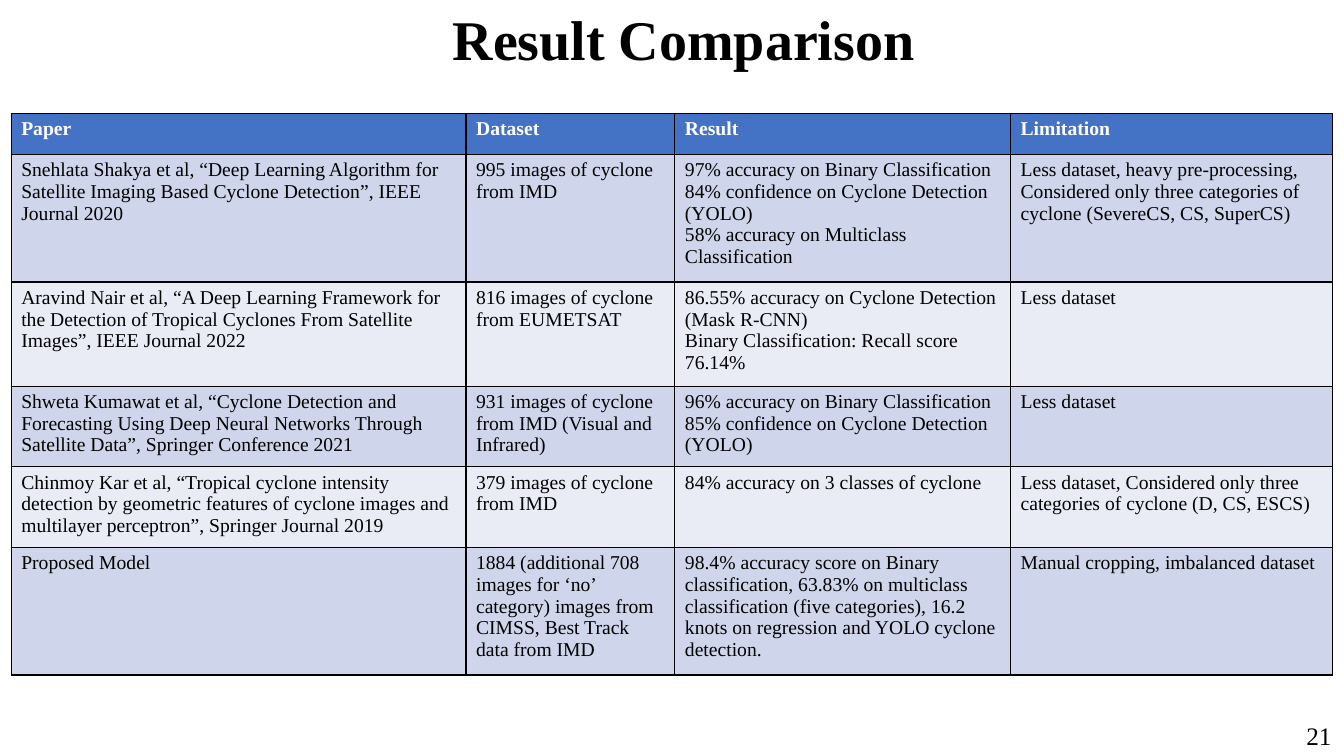
from lxml import etree
from pptx import Presentation
from pptx import util as u
from pptx.dml.color import RGBColor
from pptx.enum import text
from pptx.oxml.ns import qn

FONT = "Times New Roman"
BLACK, WHITE, HEADER = "000000", "FFFFFF", "4472C4"
BANDS = ("CFD5EA", "E9EBF5")
COLUMN_WIDTHS = (324.9, 149.2, 239.8, 229.8)
ROW_HEIGHTS = (29.2, 91.2, 74.4, 57.6, 57.6, 91.2)
ROWS = (
    ("Paper", "Dataset", "Result", "Limitation"),
    ("Snehlata Shakya et al, “Deep Learning Algorithm for Satellite Imaging Based Cyclone "
     "Detection”, IEEE Journal 2020",
     "995 images of cyclone from IMD",
     "97% accuracy on Binary Classification\n84% confidence on Cyclone Detection (YOLO)\n"
     "58% accuracy on Multiclass Classification",
     "Less dataset, heavy pre-processing, Considered only three categories of cyclone "
     "(SevereCS, CS, SuperCS)"),
    ("Aravind Nair et al, “A Deep Learning Framework for the Detection of Tropical Cyclones "
     "From Satellite Images”, IEEE Journal 2022",
     "816 images of cyclone from EUMETSAT",
     "86.55% accuracy on Cyclone Detection (Mask R-CNN)\n"
     "Binary Classification: Recall score 76.14%",
     "Less dataset"),
    ("Shweta Kumawat et al, “Cyclone Detection and Forecasting Using Deep Neural Networks "
     "Through Satellite Data”, Springer Conference 2021",
     "931 images of cyclone from IMD (Visual and Infrared)",
     "96% accuracy on Binary Classification\n85% confidence on Cyclone Detection (YOLO)",
     "Less dataset"),
    ("Chinmoy Kar et al, “Tropical cyclone intensity detection by geometric features of "
     "cyclone images and multilayer perceptron”, Springer Journal 2019",
     "379 images of cyclone from IMD",
     "84% accuracy on 3 classes of cyclone",
     "Less dataset, Considered only three categories of cyclone (D, CS, ESCS)"),
    ("Proposed Model",
     "1884 (additional 708 images for ‘no’ category) images from CIMSS, Best Track data from IMD",
     "98.4% accuracy score on Binary classification, 63.83% on multiclass classification "
     "(five categories), 16.2 knots on regression and YOLO cyclone detection.",
     "Manual cropping, imbalanced dataset"),
)


def color(value):
    """Turn a hex string into a colour."""
    return RGBColor.from_string(value)


def style_font(para, size, value, bold=False):
    """Set the font of a whole paragraph."""
    font = para.font
    font.name, font.size, font.bold = FONT, u.Pt(size), bold
    font.color.rgb = color(value)


def add_label(page, box, words, size, bold=False, align=text.PP_ALIGN.LEFT):
    """Place one line of black text in a box."""
    frame = page.shapes.add_textbox(*map(u.Pt, box)).text_frame
    frame.word_wrap = True
    para = frame.paragraphs[0]
    para.text, para.alignment = words, align
    style_font(para, size, BLACK, bold)


def add_borders(cell):
    """Draw a thin black line on each side of a cell."""
    properties = cell._tc.get_or_add_tcPr()
    for side in ("a:lnL", "a:lnR", "a:lnT", "a:lnB"):
        line = etree.SubElement(properties, qn(side), w=str(u.Pt(1)))
        fill = etree.SubElement(line, qn("a:solidFill"))
        etree.SubElement(fill, qn("a:srgbClr"), val=BLACK)


def fill_cell(cell, words, fill, ink, bold):
    """Write and colour one table cell."""
    add_borders(cell)
    cell.fill.solid()
    cell.fill.fore_color.rgb = color(fill)
    cell.text = words
    for para in cell.text_frame.paragraphs:
        style_font(para, 14, ink, bold)


def add_comparison(page, left, top):
    """Build the comparison table from its top left corner."""
    box = (left, top, sum(COLUMN_WIDTHS), sum(ROW_HEIGHTS))
    table = page.shapes.add_table(len(ROWS), len(COLUMN_WIDTHS), *map(u.Pt, box)).table
    for column, width in zip(table.columns, COLUMN_WIDTHS):
        column.width = u.Pt(width)
    for index, (height, entries) in enumerate(zip(ROW_HEIGHTS, ROWS)):
        row = table.rows[index]
        row.height = u.Pt(height)
        heading = index == 0
        fill = HEADER if heading else BANDS[(index - 1) % 2]
        for cell, words in zip(row.cells, entries):
            fill_cell(cell, words, fill, WHITE if heading else BLACK, heading)


def main():
    """Build and save the slide."""
    deck = Presentation()
    deck.slide_width, deck.slide_height = u.Pt(960), u.Pt(540)
    page = deck.slides.add_slide(deck.slide_layouts[6])
    add_comparison(page, 8, 81)
    add_label(page, (24.5, 0, 927.5, 55.5), "Result Comparison", 40, True, text.PP_ALIGN.CENTER)
    add_label(page, (926, 511, 34, 29), "21", 18)
    deck.save("out.pptx")


if __name__ == "__main__":
    main()
